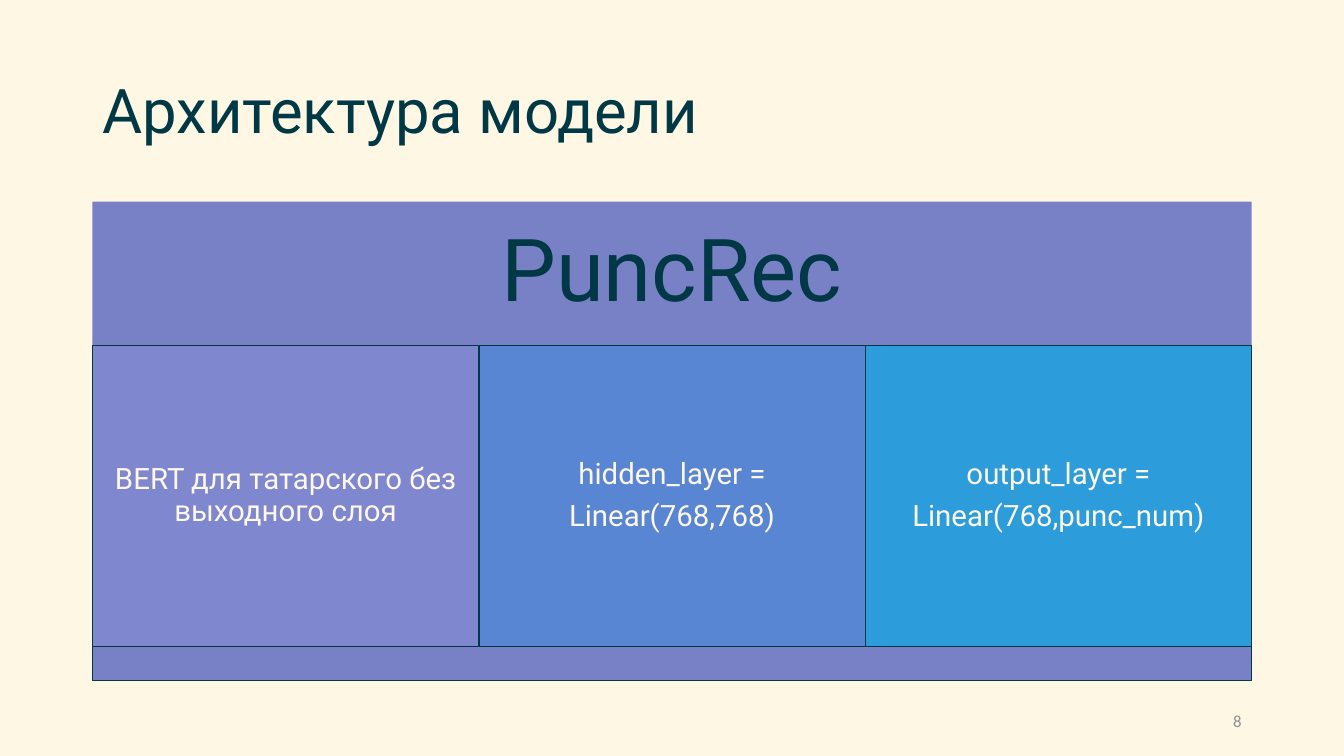
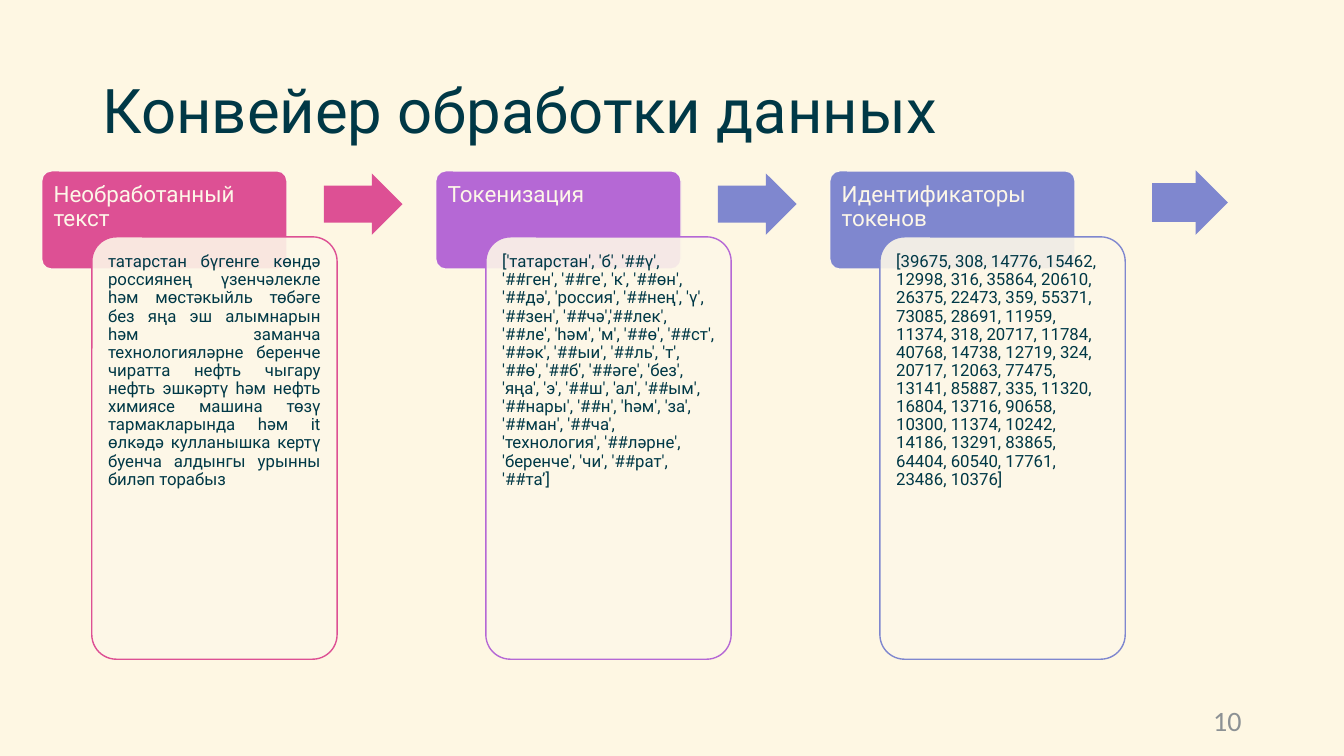
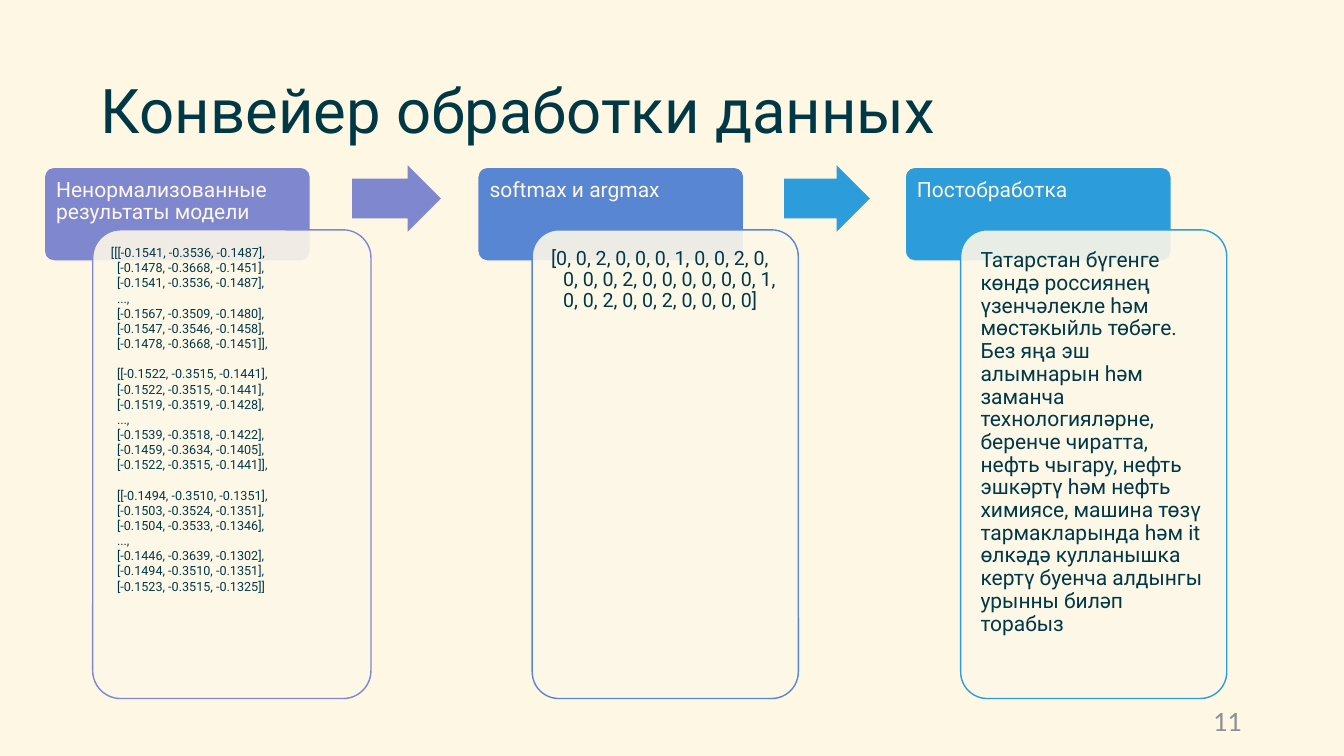
from dataclasses import dataclass, field

from pptx import Presentation
from pptx import util as u
from pptx.dml.color import RGBColor
from pptx.enum import shapes, text
from pptx.oxml import ns, xmlchemy
from lxml import etree

CREAM = RGBColor(0xFE, 0xF7, 0xE3)
IVORY = RGBColor(0xFD, 0xF7, 0xE8)
INK = RGBColor(0x00, 0x38, 0x46)
GREY = RGBColor(0x8C, 0x91, 0x94)
SLATE = RGBColor(0x79, 0x81, 0xC6)
PINK = RGBColor(0xDD, 0x50, 0x94)
PURPLE = RGBColor(0xB5, 0x68, 0xD5)
PERIWINKLE = RGBColor(0x7F, 0x87, 0xCF)
BLUE = RGBColor(0x58, 0x86, 0xD2)
SKY = RGBColor(0x2C, 0x9D, 0xDA)

WIDTH, HEIGHT = u.Inches(13.33), u.Inches(7.5)
MARGIN, CONTENT = 6.88, 86.25
BODY_FONT, NUMBER_FONT = "Roboto", "Calibri"
LEFT, CENTER, RIGHT, JUSTIFY = (
    text.PP_ALIGN.LEFT, text.PP_ALIGN.CENTER, text.PP_ALIGN.RIGHT, text.PP_ALIGN.JUSTIFY)
TOP, MIDDLE = text.MSO_ANCHOR.TOP, text.MSO_ANCHOR.MIDDLE

RAW_TEXT = (
    "татарстан бүгенге көндә россиянең үзенчәлекле һәм мөстәкыйль төбәге без яңа эш "
    "алымнарын һәм заманча технологияләрне беренче чиратта нефть чыгару нефть эшкәртү "
    "һәм нефть химиясе машина төзү тармакларында һәм it өлкәдә кулланышка кертү буенча "
    "алдынгы урынны биләп торабыз")
TOKENS = (
    "['татарстан', 'б', '##ү', '##ген', '##ге', 'к', '##өн', '##дә', 'россия', '##нең', "
    "'ү', '##зен', '##чә','##лек', '##ле', 'һәм', 'м', '##ө', '##ст', '##әк', '##ыи', "
    "'##ль', 'т', '##ө', '##б', '##әге', 'без', 'яңа', 'э', '##ш', 'ал', '##ым', "
    "'##нары', '##н', 'һәм', 'за', '##ман', '##ча', 'технология', '##ләрне', 'беренче', "
    "'чи', '##рат', '##та’]")
TOKEN_IDS = (
    "[39675, 308, 14776, 15462, 12998, 316, 35864, 20610, 26375, 22473, 359, 55371, "
    "73085, 28691, 11959, 11374, 318, 20717, 11784, 40768, 14738, 12719, 324, 20717, "
    "12063, 77475, 13141, 85887, 335, 11320, 16804, 13716, 90658, 10300, 11374, 10242, "
    "14186, 13291, 83865, 64404, 60540, 17761, 23486, 10376]")
LOGITS = [
    "[[[-0.1541, -0.3536, -0.1487],", "[-0.1478, -0.3668, -0.1451],",
    "[-0.1541, -0.3536, -0.1487],", "...,", "[-0.1567, -0.3509, -0.1480],",
    "[-0.1547, -0.3546, -0.1458],", "[-0.1478, -0.3668, -0.1451]],",
    "[[-0.1522, -0.3515, -0.1441],", "[-0.1522, -0.3515, -0.1441],",
    "[-0.1519, -0.3519, -0.1428],", "...,", "[-0.1539, -0.3518, -0.1422],",
    "[-0.1459, -0.3634, -0.1405],", "[-0.1522, -0.3515, -0.1441]],",
    "[[-0.1494, -0.3510, -0.1351],", "[-0.1503, -0.3524, -0.1351],",
    "[-0.1504, -0.3533, -0.1346],", "...,", "[-0.1446, -0.3639, -0.1302],",
    "[-0.1494, -0.3510, -0.1351],", "[-0.1523, -0.3515, -0.1325]]",
]
CLASSES = (
    "[0, 0, 2, 0, 0, 0, 1, 0, 0, 2, 0, 0, 0, 0, 2, 0, 0, 0, 0, 0, 0, 1, "
    "0, 0, 2, 0, 0, 2, 0, 0, 0, 0]")
RESTORED = (
    "Татарстан бүгенге көндә россиянең үзенчәлекле һәм мөстәкыйль төбәге. Без яңа эш "
    "алымнарын һәм заманча технологияләрне, беренче чиратта, нефть чыгару, нефть эшкәртү "
    "һәм нефть химиясе, машина төзү тармакларында һәм it өлкәдә кулланышка кертү буенча "
    "алдынгы урынны биләп торабыз")


@dataclass
class Stage:
    heading: str
    lines: list
    color: RGBColor
    left: float
    detail_left: float
    detail_width: float
    size: int = 12
    inset: float = 0.09
    style: dict = field(default_factory=dict)


@dataclass
class Rows:
    header_top: float
    header_width: float
    header_height: float
    detail_top: float
    detail_height: float
    heading_size: int


def apply(target, values):
    for name, value in values.items():
        setattr(target, name, value)


def place(left, top, width, height):
    return (int(WIDTH * left / 100), int(HEIGHT * top / 100),
            int(WIDTH * width / 100), int(HEIGHT * height / 100))


def write(frame, lines, size, color, font=BODY_FONT, anchor=TOP, inset=None, **style):
    apply(frame, {"word_wrap": True, "auto_size": text.MSO_AUTO_SIZE.NONE,
                  "vertical_anchor": anchor})
    if inset is not None:
        apply(frame, {f"margin_{side}": u.Inches(inset)
                      for side in ("left", "top", "right", "bottom")})
    for index, line in enumerate(lines):
        paragraph = frame.paragraphs[0] if index == 0 else frame.add_paragraph()
        apply(paragraph, {"alignment": LEFT, "line_spacing": 0.9, **style})
        run = paragraph.add_run()
        run.text = line
        apply(run.font, {"size": u.Pt(size), "name": font})
        run.font.color.rgb = color


def indent(paragraph, margin, first=0.0):
    properties = paragraph._p.get_or_add_pPr()
    properties.set("marL", str(u.Inches(margin)))
    properties.set("indent", str(u.Inches(first)))


def block(slide, kind, box, fill, line=None, weight=1, adjust=(), opacity=None):
    shape = slide.shapes.add_shape(kind, *place(*box))
    shape.shadow.inherit = False
    shape.fill.solid()
    shape.fill.fore_color.rgb = fill
    if opacity is not None:
        tint = shape.element.spPr.find(ns.qn("a:solidFill")).find(ns.qn("a:srgbClr"))
        etree.SubElement(tint, ns.qn("a:alpha")).set("val", str(opacity * 1000))
    if line is None:
        shape.line.fill.background()
    else:
        shape.line.color.rgb = line
        shape.line.width = u.Pt(weight)
    for index, value in enumerate(adjust):
        shape.adjustments[index] = value
    return shape


def new_slide(deck, title, number, number_size=20, title_left=MARGIN):
    slide = deck.slides.add_slide(deck.slide_layouts[5])
    heading = slide.shapes.title
    apply(heading, dict(zip(("left", "top", "width", "height"),
                            place(title_left, 5.33, CONTENT, 19.33))))
    write(heading.text_frame, [title], 44, INK, anchor=MIDDLE)
    page = slide.shapes.add_textbox(*place(70.63, 92.67, 22.5, 5.33))
    write(page.text_frame, [number], number_size, GREY, NUMBER_FONT, MIDDLE,
          alignment=RIGHT, line_spacing=1.0)
    return slide


def arrow(slide, color, *box):
    block(slide, shapes.MSO_SHAPE.RIGHT_ARROW, box, color, adjust=(0.6, 0.5))


def stage_card(slide, stage, rows):
    rounded = shapes.MSO_SHAPE.ROUNDED_RECTANGLE
    header = block(slide, rounded,
                   (stage.left, rows.header_top, rows.header_width, rows.header_height),
                   stage.color, IVORY, adjust=(0.1,))
    write(header.text_frame, [stage.heading], rows.heading_size, IVORY, inset=0.09)
    detail = block(slide, rounded,
                   (stage.detail_left, rows.detail_top, stage.detail_width,
                    rows.detail_height),
                   IVORY, stage.color, adjust=(0.1,), opacity=90)
    write(detail.text_frame, stage.lines, stage.size, INK, inset=stage.inset, **stage.style)
    return detail.text_frame.paragraphs


def architecture(deck):
    slide = new_slide(deck, "Архитектура модели", "8", 12)
    rectangle = shapes.MSO_SHAPE.RECTANGLE
    top, height = 26.67, 63.33
    name_height, layer_height, base_height = (height * share for share in (0.3, 0.63, 0.07))
    name = block(slide, rectangle, (MARGIN, top, CONTENT, name_height), SLATE)
    write(name.text_frame, ["PuncRec"], 62, INK, anchor=MIDDLE, inset=0.26, alignment=CENTER)
    layers = [
        (["BERT для татарского без выходного слоя"], PERIWINKLE),
        (["hidden_layer =", "Linear(768,768)"], BLUE),
        (["output_layer =", "Linear(768,punc_num)"], SKY),
    ]
    column = CONTENT / len(layers)
    for index, (lines, color) in enumerate(layers):
        layer = block(slide, rectangle,
                      (MARGIN + index * column, top + name_height, column, layer_height),
                      color, INK)
        write(layer.text_frame, lines, 21, IVORY, anchor=MIDDLE, inset=0.09,
              alignment=CENTER, space_after=u.Pt(7.35))
    block(slide, rectangle, (MARGIN, top + name_height + layer_height, CONTENT, base_height),
          SLATE, INK, 0.75)


def preprocessing(deck):
    slide = new_slide(deck, "Конвейер обработки данных", "10")
    rows = Rows(22.6, 18.25, 13.0, 31.33, 55.87, 16)
    contents = [
        ("Необработанный текст", RAW_TEXT, PINK, {"alignment": JUSTIFY}),
        ("Токенизация", TOKENS, PURPLE, {}),
        ("Идентификаторы токенов", TOKEN_IDS, PERIWINKLE, {}),
    ]
    for index, (heading, body, color, style) in enumerate(contents):
        left = 3.1 + index * 29.32
        stage_card(slide, Stage(heading, [body], color, left, left + 3.73, 18.25,
                                style=style), rows)
    arrow(slide, PINK, 24.1, 22.93, 5.85, 8.13)
    arrow(slide, PERIWINKLE, 53.42, 22.93, 5.85, 8.13)
    arrow(slide, PERIWINKLE, 85.73, 22.53, 5.63, 8.53)


def postprocessing(deck):
    slide = new_slide(deck, "Конвейер обработки данных", "11", title_left=6.75)
    rows = Rows(22.13, 19.8, 12.4, 30.4, 62, 15)
    logits = stage_card(slide, Stage(
        "Ненормализованные результаты модели", LOGITS, PERIWINKLE, 3.3, 6.9, 20.7,
        9, 0.07, {"line_spacing": 1.0}), rows)
    for index, paragraph in enumerate(logits):
        indent(paragraph, 0.09 if index else 0.03)
        if index and index % 7 == 0:
            paragraph.space_before = u.Pt(10.8)
    classes = stage_card(slide, Stage(
        "softmax и argmax", [CLASSES], BLUE, 35.55, 39.6, 19.8, 14, 0.11), rows)
    indent(classes[0], 0.12, -0.12)
    stage_card(slide, Stage(
        "Постобработка", [RESTORED], SKY, 67.35, 71.48, 19.8, 15, 0.12), rows)
    arrow(slide, PERIWINKLE, 26.2, 21.87, 6.6, 8.8)
    arrow(slide, SKY, 58.35, 21.87, 6.38, 8.8)


def main():
    deck = Presentation()
    apply(deck, {"slide_width": WIDTH, "slide_height": HEIGHT})
    backdrop = deck.slide_master.background.fill
    backdrop.solid()
    backdrop.fore_color.rgb = CREAM
    architecture(deck)
    preprocessing(deck)
    postprocessing(deck)
    deck.save("out.pptx")


if __name__ == "__main__":
    main()
